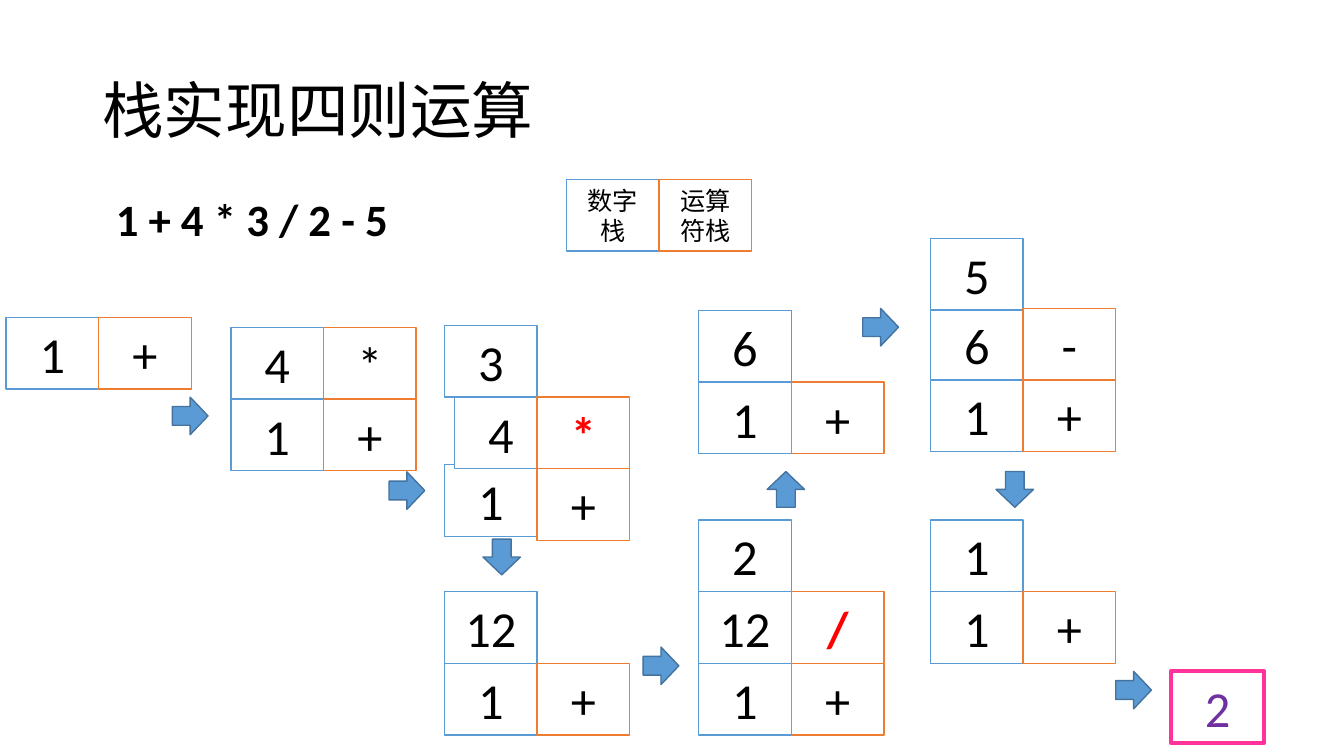
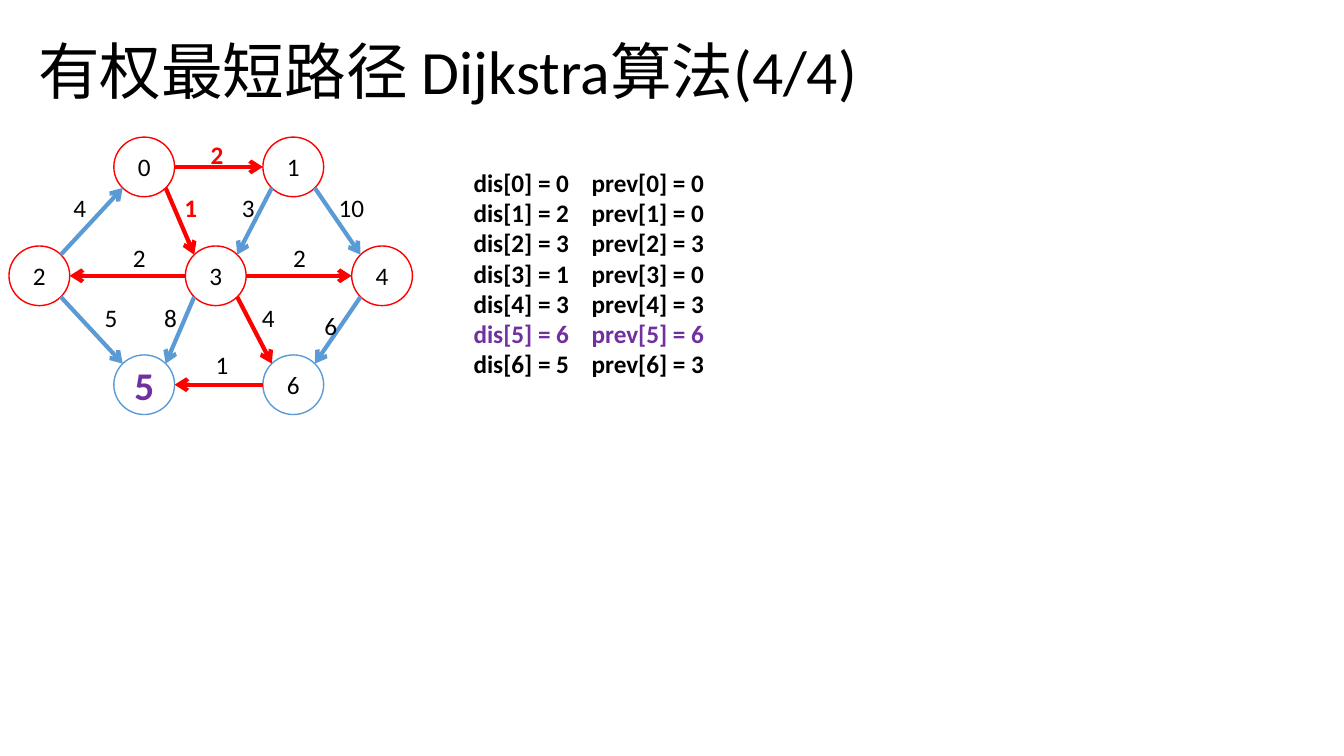
from math import sqrt

from lxml.etree import SubElement
from pptx import Presentation
from pptx.dml.color import RGBColor
from pptx.enum.shapes import MSO_CONNECTOR as LINE, MSO_SHAPE as SHAPE
from pptx.enum.text import MSO_ANCHOR as ANCHOR, PP_ALIGN as ALIGN
from pptx.oxml.ns import qn
from pptx.util import Pt

FONT = "Calibri"
BLACK, WHITE, RED, PURPLE = "000000", "FFFFFF", "FF0000", "7030A0"
BLUE, NAVY, ORANGE, PINK = "5B9BD5", "43739E", "ED7D31", "FF3399"

# Slide 1: left and top of the bottom row, numbers and operators from the bottom up
CELL_W, CELL_H = 66.2, 51.2
STACKS = [
    (4.3, 226.8, ["1"], ["+"]),
    (164.9, 285.1, ["1", "4"], ["+", "*"]),
    (317.5, 334.8, ["1", "4", "3"], ["+", "*"]),
    (317.5, 473.8, ["1", "12"], ["+"]),
    (499, 473.8, ["1", "12", "2"], ["+", "/"]),
    (499, 272.9, ["1", "6"], ["+"]),
    (664.6, 271.4, ["1", "6", "5"], ["+", "-"]),
    (664.6, 422.6, ["1", "1"], ["+"]),
]
# (stack, column, row): shift right and down
NUDGE = {(2, 0, 0): (0, -2.9), (2, 0, 1): (7.2, 0), (6, 0, 2): (0, 1.4)}
ACTIVE = {(2, 1, 1), (4, 1, 1)}
ARROWS = [  # left, top, turn
    (123.1, 283.7, 0), (277.9, 337, 0), (345.6, 384.5, 90), (459.4, 462.2, 0),
    (548.6, 336.2, 270), (616.3, 220.3, 0), (712.1, 336.2, 90), (797, 479.5, 0),
]

# Slide 2: node centres, then edges as start, end, weight, colour, label place
NODE_W, NODE_H = 43.4, 42.6
TOP, MID, LOW = 119.2, 197, 274.8
NODES = [
    (103, TOP), (209.5, TOP), (28.1, MID), (154.1, MID),
    (272.9, MID), (103, LOW), (209.5, LOW),
]
OPEN = {5, 6}
EDGES = [
    (0, 1, 2, RED, 143.3, 95.8), (1, 4, 10, BLUE, 234.7, 133.9),
    (1, 3, 3, BLUE, 165.6, 133.9), (2, 0, 4, BLUE, 45.4, 133.9),
    (0, 3, 1, RED, 124.6, 133.9), (3, 2, 2, RED, 87.8, 169.2),
    (3, 5, 8, BLUE, 110.2, 212.4), (3, 6, 4, RED, 180, 212.4),
    (6, 5, 1, RED, 146.9, 246.2), (4, 6, 6, BLUE, 224.6, 218.2),
    (3, 4, 2, RED, 202.3, 169.2), (2, 5, 5, BLUE, 67.7, 212.4),
]
DIST = [0, 2, 3, 1, 3, 6, 5]
PREV = [0, 0, 3, 0, 3, 6, 3]
FOCUS = 5


def rgb(code):
    return RGBColor.from_string(code)


def style(para, size, color=BLACK, bold=False):
    look = {"name": FONT, "size": Pt(size), "bold": bold}
    for key, val in look.items():
        setattr(para.font, key, val)
    para.font.color.rgb = rgb(color)


def add_text(shapes, box, text, size, color=BLACK, bold=False):
    frame = shapes.add_textbox(*map(Pt, box)).text_frame
    frame.word_wrap = True
    frame.text = text
    for para in frame.paragraphs:
        style(para, size, color, bold)
    return frame


def add_title(slide, left, top, text):
    frame = add_text(slide.shapes, (left, top, 828, 104.4), text, 44)
    frame.vertical_anchor = ANCHOR.MIDDLE
    frame.paragraphs[0].line_spacing = 0.9


def add_form(shapes, kind, box, fill, line, width=1):
    form = shapes.add_shape(kind, *map(Pt, box))
    form.shadow.inherit = False
    form.fill.solid()
    form.fill.fore_color.rgb = rgb(fill)
    form.line.color.rgb = rgb(line)
    form.line.width = Pt(width)
    return form


def add_label(form, text, size, color=BLACK, bold=False):
    frame = form.text_frame
    frame.word_wrap = True
    frame.vertical_anchor = ANCHOR.MIDDLE
    frame.text = text
    para = frame.paragraphs[0]
    para.alignment = ALIGN.CENTER
    style(para, size, color, bold)


def add_cell(shapes, left, top, line, text, size=36, color=BLACK,
             bold=False, width=1):
    box = (left, top, CELL_W, CELL_H)
    form = add_form(shapes, SHAPE.RECTANGLE, box, WHITE, line, width)
    add_label(form, text, size, color, bold)


def add_edge(shapes, start, end, color):
    """Join two nodes, at their sides if level, else at their 45 degree points."""
    (x1, y1), (x2, y2) = NODES[start], NODES[end]
    part = 1 if y1 == y2 else sqrt(0.5)
    dx = part * NODE_W / 2 * (1 if x2 > x1 else -1)
    dy = part * NODE_H / 2 * ((y2 > y1) - (y2 < y1))
    ends = (x1 + dx, y1 + dy, x2 - dx, y2 - dy)
    edge = shapes.add_connector(LINE.STRAIGHT, *map(Pt, ends))
    edge.line.color.rgb = rgb(color)
    edge.line.width = Pt(3)
    SubElement(edge.line._get_or_add_ln(), qn("a:tailEnd"), type="arrow")
    SubElement(edge._element.spPr, qn("a:effectLst"))


def build_stack(slide):
    add_title(slide, 66, 28.8, "栈实现四则运算")
    shapes = slide.shapes
    add_text(shapes, (75.6, 133.2, 250, 46), "1 + 4 * 3 / 2 - 5", 32, bold=True)
    for col, (name, line) in enumerate([("数字栈", BLUE), ("运算符栈", ORANGE)]):
        add_cell(shapes, 404.6 + col * CELL_W, 128.2, line, name, 18)

    for num, (left, base, *cols) in enumerate(STACKS):
        for col, (items, line) in enumerate(zip(cols, (BLUE, ORANGE))):
            for row, text in enumerate(items):
                spot = (num, col, row)
                dx, dy = NUDGE.get(spot, (0, 0))
                hot = spot in ACTIVE
                add_cell(shapes, left + col * CELL_W + dx,
                         base - row * CELL_H + dy, line, text,
                         color=RED if hot else BLACK, bold=hot)

    for left, top, turn in ARROWS:
        form = add_form(shapes, SHAPE.RIGHT_ARROW, (left, top, 25.5, 26.8),
                        BLUE, NAVY)
        form.rotation = turn
    add_cell(shapes, 836.6, 479.5, PINK, "2", color=PURPLE, width=3)


def build_graph(slide):
    add_title(slide, 20.2, 0.7, "有权最短路径 Dijkstra算法(4/4)")
    shapes = slide.shapes.add_group_shape().shapes
    for num, (x, y) in enumerate(NODES):
        box = (x - NODE_W / 2, y - NODE_H / 2, NODE_W, NODE_H)
        form = add_form(shapes, SHAPE.OVAL, box, WHITE,
                        BLUE if num in OPEN else RED)
        look = (28, PURPLE, True) if num == FOCUS else (18,)
        add_label(form, str(num), *look)

    for start, end, cost, color, left, top in EDGES:
        add_edge(shapes, start, end, color)
        hot = start == 0
        add_text(shapes, (left, top, 39.6, 28.8), str(cost), 18,
                 RED if hot else BLACK, hot)

    rows = [f"dis[{n}] = {d}\tprev[{n}] = {p}"
            for n, (d, p) in enumerate(zip(DIST, PREV))]
    frame = add_text(slide.shapes, (331.2, 115.9, 189.4, 159.8), "\n".join(rows), 18)
    for num, para in enumerate(frame.paragraphs):
        props = para._p.get_or_add_pPr()
        for old in props.findall(qn("a:defRPr")):
            props.remove(old)
        tabs = SubElement(props, qn("a:tabLst"))
        SubElement(tabs, qn("a:tab"), pos=str(Pt(84.3)), algn="l")
        style(para, 18, PURPLE if num == FOCUS else BLACK, True)


def main():
    deck = Presentation()
    deck.slide_width, deck.slide_height = Pt(960), Pt(540)
    for build in (build_stack, build_graph):
        build(deck.slides.add_slide(deck.slide_layouts[6]))
    deck.save("out.pptx")


if __name__ == "__main__":
    main()
